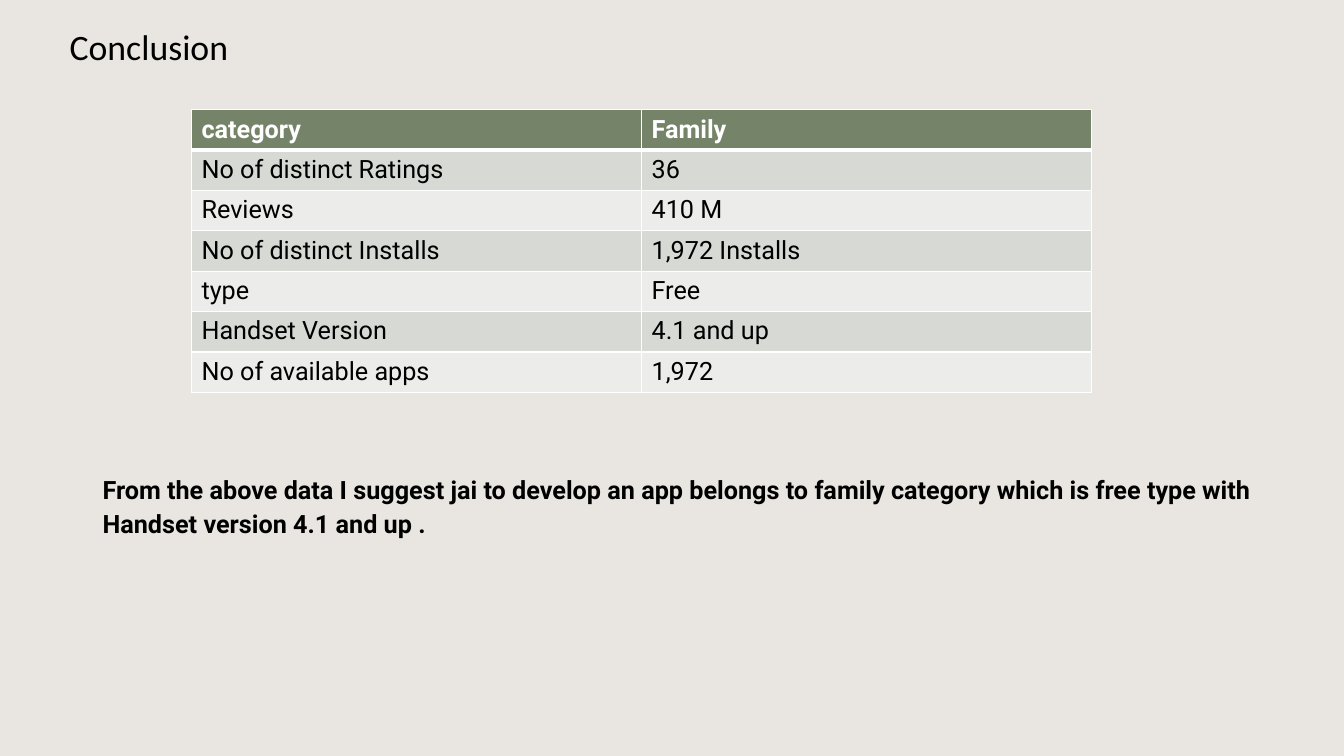
from lxml.etree import SubElement
from pptx import Presentation
from pptx.dml.color import RGBColor
from pptx.enum.text import MSO_ANCHOR
from pptx.oxml.ns import qn
from pptx.util import Pt

COLORS = {
    "background": "E9E5E1",
    "text": "000000",
    "header": "758468",
    "header_text": "FFFFFF",
    "border": "FFFFFF",
    "odd_row": "D6D9D4",
    "even_row": "ECEDEB",
}

FINDINGS = [
    ("category", "Family"),
    ("No of distinct Ratings", "36"),
    ("Reviews", "410 M"),
    ("No of distinct Installs", "1,972 Installs"),
    ("type", "Free"),
    ("Handset Version", "4.1 and up"),
    ("No of available apps", "1,972"),
]

SUGGESTION = (
    "From the above data I suggest jai to develop an app belongs to family "
    "category which is free type with Handset version 4.1 and up ."
)


def rgb(name):
    return RGBColor.from_string(COLORS[name])


def write(frame, text, color="text", **font_format):
    paragraph = frame.paragraphs[0]
    run = paragraph.add_run()
    run.text = text
    run.font.color.rgb = rgb(color)
    for attribute, value in font_format.items():
        setattr(run.font, attribute, value)
    return paragraph


def add_title(slide, left, top, width, height):
    title = slide.shapes.title
    placement = {"left": left, "top": top, "width": width, "height": height}
    for attribute, value in placement.items():
        setattr(title, attribute, Pt(value))
    title.text_frame.vertical_anchor = MSO_ANCHOR.BOTTOM
    heading = write(title.text_frame, "Conclusion", name="Calibri", size=Pt(25.5), bold=False)
    heading.alignment = 1


def set_borders(cell, widths):
    """Draw cell borders; widths maps L, R, T, B to points."""
    properties = cell._tc.get_or_add_tcPr()
    for position, (side, width) in enumerate(widths.items()):
        line = properties.makeelement(qn(f"a:ln{side}"), {"w": str(Pt(width))})
        properties.insert(position, line)
        fill = SubElement(line, qn("a:solidFill"))
        SubElement(fill, qn("a:srgbClr"), val=COLORS["border"])


def add_findings(slide, left, top, width, height):
    row_count, column_count = len(FINDINGS), len(FINDINGS[0])
    table = slide.shapes.add_table(
        row_count, column_count, Pt(left), Pt(top), Pt(width), Pt(height)
    ).table
    for row, finding in enumerate(FINDINGS):
        is_header = row == 0
        fill = "header" if is_header else "odd_row" if row % 2 else "even_row"
        borders = {"L": 1, "R": 1, "T": 3 if row == 1 else 1, "B": 3 if is_header else 1}
        for column, value in enumerate(finding):
            cell = table.cell(row, column)
            cell.fill.solid()
            cell.fill.fore_color.rgb = rgb(fill)
            set_borders(cell, borders)
            write(cell.text_frame, value, "header_text" if is_header else "text",
                  name="Roboto", size=Pt(18), bold=is_header)


def add_suggestion(slide, left, top, width, height):
    frame = slide.shapes.add_textbox(Pt(left), Pt(top), Pt(width), Pt(height)).text_frame
    frame.word_wrap = True
    advice = write(frame, SUGGESTION, name="Roboto", size=Pt(18), bold=True)
    advice.line_spacing = 1.1
    advice.space_before = Pt(10)


def build_conclusion(presentation):
    slide = presentation.slides.add_slide(presentation.slide_layouts[5])
    slide.background.fill.solid()
    slide.background.fill.fore_color.rgb = rgb("background")
    add_title(slide, 42.5, 5.8, 874.8, 46)
    add_suggestion(slide, 66.2, 333.4, 874.8, 128.9)
    add_findings(slide, 136.8, 78.4, 643, 198.8)


def main():
    presentation = Presentation()
    presentation.slide_width = Pt(960)
    presentation.slide_height = Pt(540)
    build_conclusion(presentation)
    presentation.save("out.pptx")


if __name__ == "__main__":
    main()
